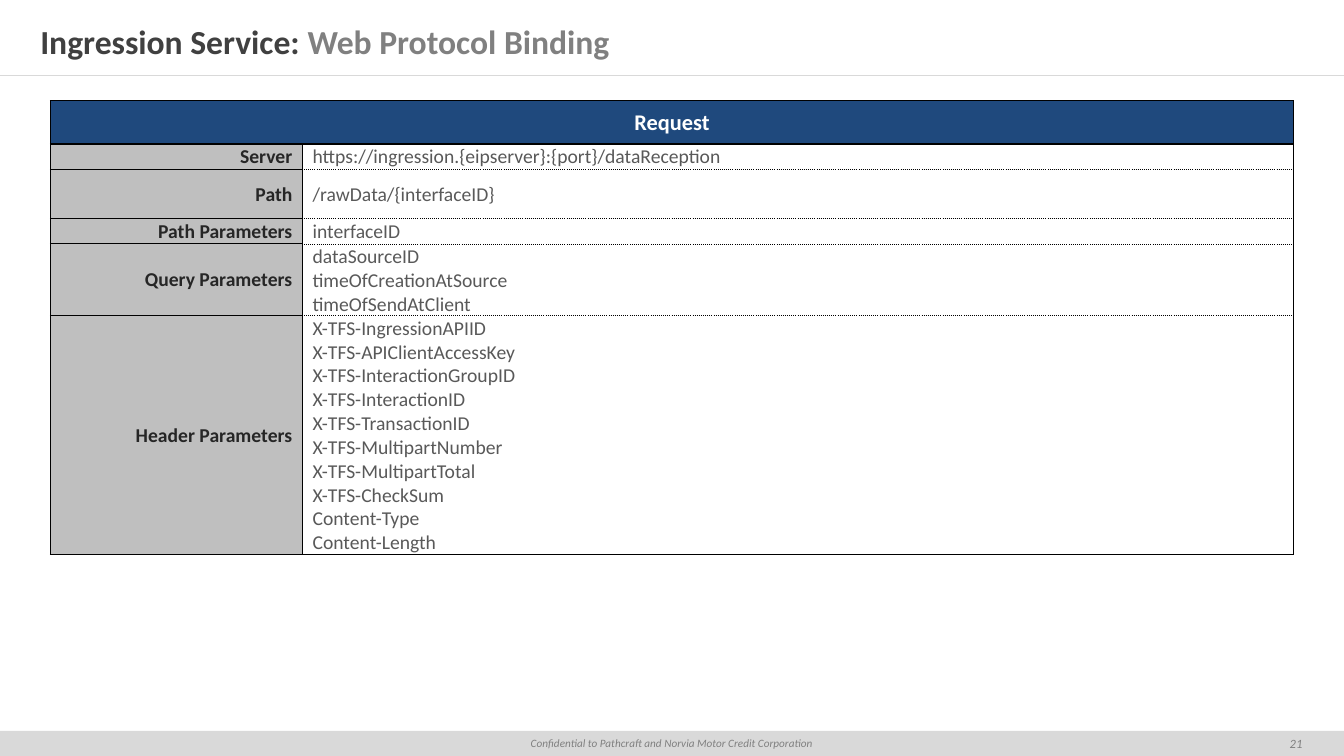
from lxml import etree
from pptx import Presentation
from pptx.dml.color import RGBColor
from pptx.enum.shapes import MSO_CONNECTOR, MSO_SHAPE
from pptx.enum.text import MSO_ANCHOR, PP_ALIGN
from pptx.oxml.ns import qn
from pptx.util import Inches, Pt

COLORS = {
    "title": "404040", "subtitle": "808080", "footer": "D9D9D9",
    "header": "1F497D", "label": "BFBFBF", "white": "FFFFFF",
    "label_text": "262626", "value_text": "595959", "border": "000000",
}
REQUEST = [
    ("Server", 0.25, ["https://ingression.{eipserver}:{port}/dataReception"]),
    ("Path", 0.49, ["/rawData/{interfaceID}"]),
    ("Path Parameters", 0.25, ["interfaceID"]),
    ("Query Parameters", 0.71,
     ["dataSourceID", "timeOfCreationAtSource", "timeOfSendAtClient"]),
    ("Header Parameters", 2.37,
     ["X-TFS-IngressionAPIID", "X-TFS-APIClientAccessKey",
      "X-TFS-InteractionGroupID", "X-TFS-InteractionID",
      "X-TFS-TransactionID", "X-TFS-MultipartNumber",
      "X-TFS-MultipartTotal", "X-TFS-CheckSum",
      "Content-Type", "Content-Length"]),
]
HEADER_HEIGHT = 0.43
COLUMNS = (2.5, 9.83)
SOLID, HEAVY, DOTTED = (1, "solid"), (1.5, "solid"), (0.5, "sysDot")


def add_run(paragraph, text, size, color, bold=False, italic=False):
    run = paragraph.add_run()
    run.text = text
    font = run.font
    font.name, font.size, font.bold, font.italic = "Calibri", Pt(size), bold, italic
    font.color.rgb = RGBColor.from_string(COLORS[color])


def format_cell(cell, fill, left, right, top, bottom):
    """Set anchor, margins, borders and fill; top and bottom are (points, dash)."""
    cell.vertical_anchor = MSO_ANCHOR.MIDDLE
    cell.margin_left, cell.margin_right = Inches(left), Inches(right)
    cell.margin_top, cell.margin_bottom = Inches(0.01), 0
    properties = cell._tc.get_or_add_tcPr()
    for side, (points, dash) in zip("LRTB", (SOLID, SOLID, top, bottom)):
        line = etree.SubElement(properties, qn(f"a:ln{side}"), w=str(Pt(points)))
        solid = etree.SubElement(line, qn("a:solidFill"))
        etree.SubElement(solid, qn("a:srgbClr"), val=COLORS["border"])
        etree.SubElement(line, qn("a:prstDash"), val=dash)
    cell.fill.solid()
    cell.fill.fore_color.rgb = RGBColor.from_string(COLORS[fill])


presentation = Presentation()
presentation.slide_width, presentation.slide_height = Inches(13.33), Inches(7.5)
width = presentation.slide_width
slide = presentation.slides.add_slide(presentation.slide_layouts[6])
shapes = slide.shapes

# Footer band, title rule and page number
footer = shapes.add_shape(MSO_SHAPE.RECTANGLE, 0, Inches(7.25), width, Inches(0.25))
footer.shadow.inherit = False
footer.fill.solid()
footer.fill.fore_color.rgb = RGBColor.from_string(COLORS["footer"])
footer.line.fill.background()

title_rule = shapes.add_connector(
    MSO_CONNECTOR.STRAIGHT, 0, Inches(0.75), width, Inches(0.75))
title_rule.line.color.rgb = RGBColor.from_string(COLORS["footer"])
title_rule.line.width = Pt(0.25)
etree.SubElement(title_rule._element.spPr, qn("a:effectLst"))

page_number = shapes.add_textbox(Inches(12.5), Inches(7.25), Inches(0.71), Inches(0.25))
for box, text, size in (
    (footer, "Confidential to Pathcraft and Norvia Motor Credit Corporation", 8),
    (page_number, "21", 9),
):
    frame = box.text_frame
    frame.word_wrap = True
    frame.vertical_anchor = MSO_ANCHOR.MIDDLE
    frame.margin_top = frame.margin_bottom = 0
    frame.paragraphs[0].alignment = PP_ALIGN.CENTER
    add_run(frame.paragraphs[0], text, size, "subtitle", italic=True)

# Title
title = shapes.add_textbox(0, Inches(0.16), width, Inches(0.5)).text_frame
title.word_wrap = True
title.vertical_anchor = MSO_ANCHOR.MIDDLE
title.margin_left = title.margin_right = Inches(0.4)
title.margin_top = title.margin_bottom = 0
add_run(title.paragraphs[0], "Ingression Service: ", 24, "title", bold=True)
add_run(title.paragraphs[0], "Web Protocol Binding", 24, "subtitle", bold=True)

# Request table
heights = [HEADER_HEIGHT] + [height for _, height, _ in REQUEST]
table = shapes.add_table(
    len(heights), len(COLUMNS), Inches(0.5), Inches(1),
    Inches(sum(COLUMNS)), Inches(sum(heights))).table
table.first_row = table.horz_banding = False
for column, column_width in zip(table.columns, COLUMNS):
    column.width = Inches(column_width)
for row, height in zip(table.rows, heights):
    row.height = Inches(height)

header = table.cell(0, 0)
header.merge(table.cell(0, 1))
for cell in table.rows[0].cells:
    format_cell(cell, "header", 0.01, 0.01, SOLID, HEAVY)
heading = header.text_frame.paragraphs[0]
heading.alignment = PP_ALIGN.CENTER
add_run(heading, "Request", 16, "white", bold=True)

for index, (name, _, values) in enumerate(REQUEST, start=1):
    first, last = index == 1, index == len(REQUEST)
    label, value = table.cell(index, 0), table.cell(index, 1)
    format_cell(label, "label", 0.01, 0.1, HEAVY if first else SOLID, SOLID)
    format_cell(value, "white", 0.1, 0.01,
                HEAVY if first else DOTTED, SOLID if last else DOTTED)
    caption = label.text_frame.paragraphs[0]
    caption.alignment = PP_ALIGN.RIGHT
    add_run(caption, name, 14, "label_text", bold=True)
    lines = value.text_frame
    for position, entry in enumerate(values):
        paragraph = lines.add_paragraph() if position else lines.paragraphs[0]
        add_run(paragraph, entry, 14, "value_text")

presentation.save("out.pptx")
